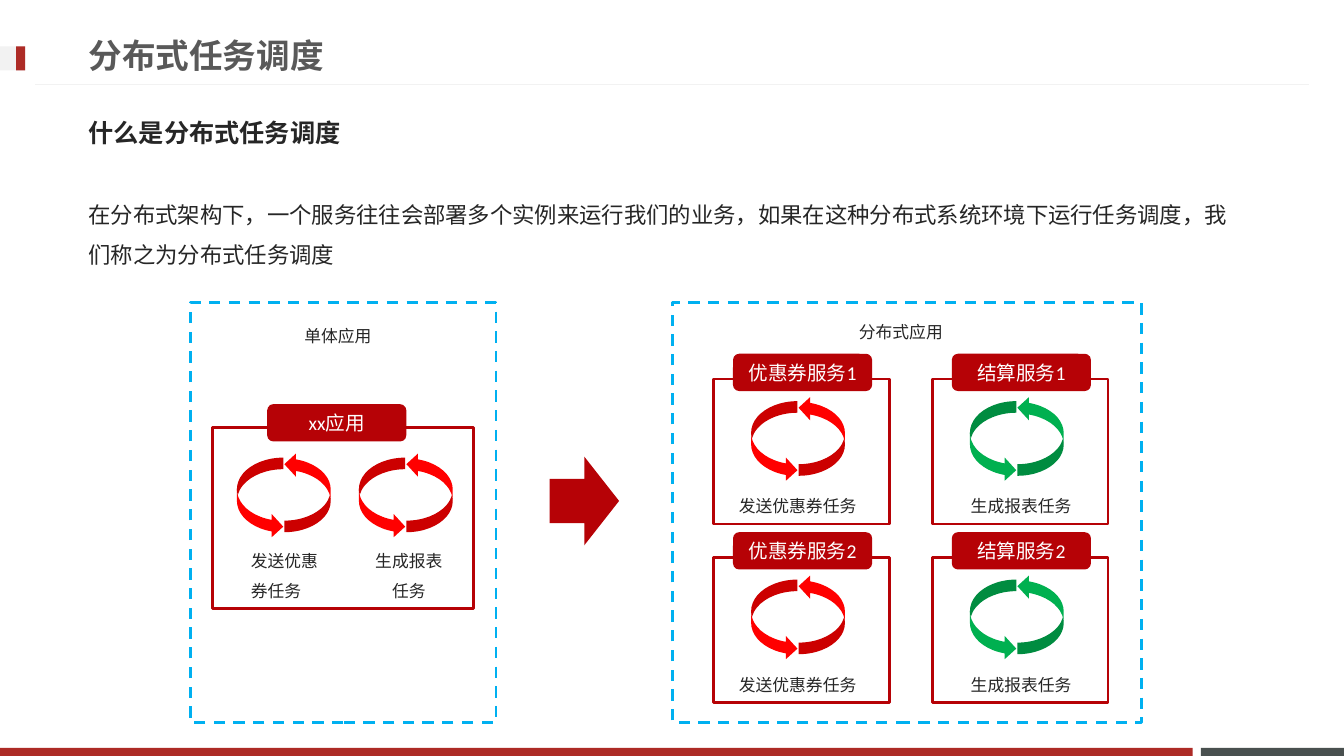
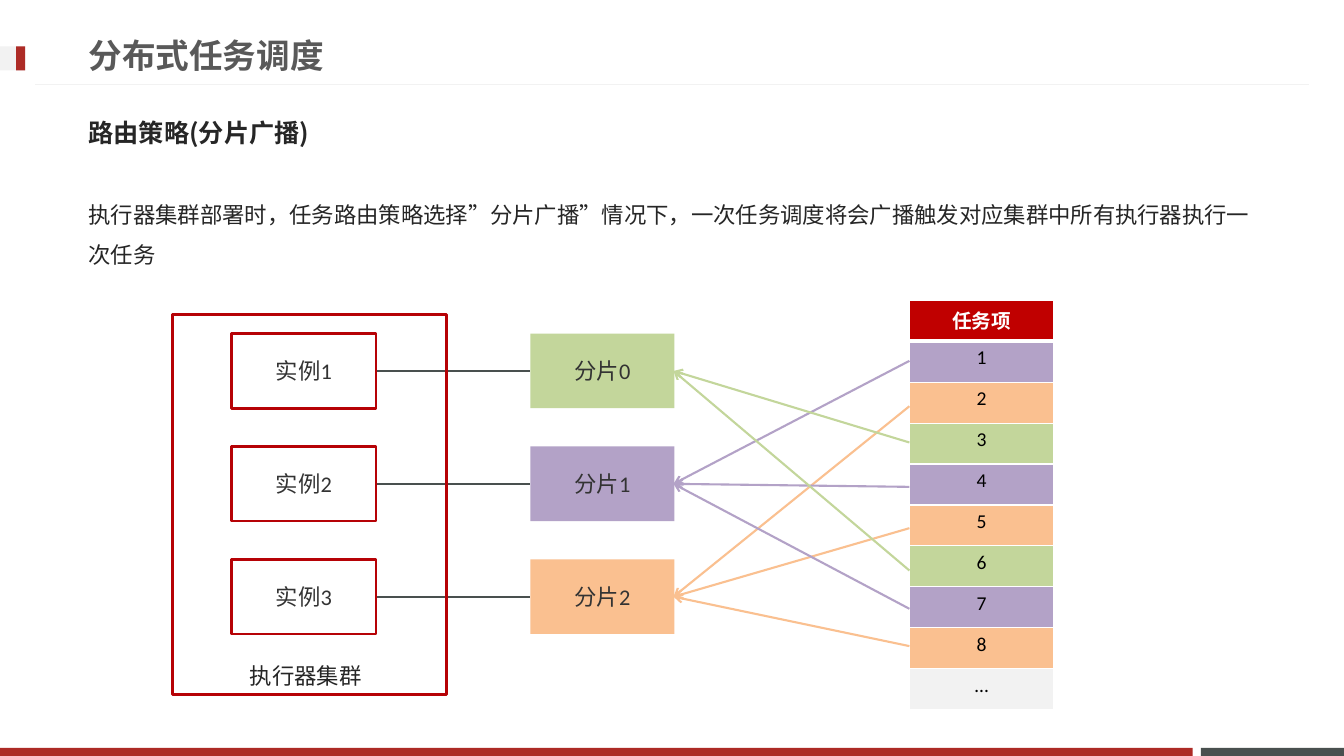
"""Build two slides on distributed task scheduling."""
from lxml.etree import SubElement
from pptx import Presentation
from pptx.dml.color import RGBColor
from pptx.enum.dml import MSO_LINE
from pptx.enum.lang import MSO_LANGUAGE_ID
from pptx.enum.shapes import MSO_CONNECTOR, MSO_SHAPE
from pptx.enum.text import MSO_ANCHOR, PP_ALIGN
from pptx.oxml.ns import qn
from pptx.util import Pt

PX = 9144
WHITE = RGBColor(0xFF, 0xFF, 0xFF)
BLACK = RGBColor(0x00, 0x00, 0x00)
PALE = RGBColor(0xF2, 0xF2, 0xF2)
SLATE = RGBColor(0x49, 0x50, 0x4F)
BRICK = RGBColor(0xAD, 0x2B, 0x26)
CRIMSON = RGBColor(0xB6, 0x02, 0x06)
HEADER_RED = RGBColor(0xC0, 0x00, 0x00)
RED = RGBColor(0xFF, 0x00, 0x00)
GREEN = RGBColor(0x00, 0xB0, 0x50)
SKY = RGBColor(0x00, 0xB0, 0xF0)
INK = RGBColor(0x26, 0x26, 0x26)
CHARCOAL = RGBColor(0x33, 0x33, 0x33)
GRAY = RGBColor(0x59, 0x59, 0x59)
LIME = RGBColor(0xC3, 0xD6, 0x9B)
LILAC = RGBColor(0xB3, 0xA2, 0xC7)
PEACH = RGBColor(0xFA, 0xC0, 0x90)
CJK = "Noto Sans CJK JP"


class Deck:
    """Hold the style and the current slide."""

    FONTS = {
        "title": ({"name": "Lato", "size": Pt(24), "bold": True}, GRAY),
        "heading": ({"name": CJK, "size": Pt(18), "bold": True}, INK),
        "body": ({"name": CJK, "size": Pt(16)}, INK),
        "label": ({"name": CJK, "size": Pt(12)}, INK),
        "badge": ({"name": "Calibri", "size": Pt(14)}, WHITE),
        "box": ({"name": "Calibri", "size": Pt(16)}, CHARCOAL),
        "th": ({"name": "Calibri", "size": Pt(14), "bold": True}, WHITE),
        "td": ({"name": "Calibri", "size": Pt(14), "bold": False}, BLACK),
    }
    SPACING = {
        "heading": {"space_before": Pt(3.6)},
        "body": {"line_spacing": 1.5, "space_before": Pt(3.2)},
        "label": {"line_spacing": 1.5, "space_before": Pt(2.4)},
    }

    def __init__(self):
        self.prs = Presentation()
        self.prs.slide_width, self.prs.slide_height = 1333 * PX, 750 * PX
        self.s = None

    def slide(self, heading, body, body_w=1170):
        self.s = self.prs.slides.add_slide(self.prs.slide_layouts[6])
        self.shape(MSO_SHAPE.RECTANGLE, 1191, 742, 142, 8, SLATE)
        self.shape(MSO_SHAPE.RECTANGLE, 0, 742, 1183, 8, BRICK)
        self.line(1298, 84, 35, 84, PALE, 0.75)
        self.shape(MSO_SHAPE.RECTANGLE, 0, 46, 25, 24, PALE)
        self.shape(MSO_SHAPE.RECTANGLE, 16, 46, 9, 24, BRICK)
        self.text(78, 26, 959, 57, "分布式任务调度", "title", MSO_ANCHOR.MIDDLE)
        self.text(78, 103, 1170, 57, heading, "heading", MSO_ANCHOR.MIDDLE)
        self.text(78, 181, body_w, 97, body, "body")

    def put_text(self, tf, text, style, align):
        font, color = self.FONTS[style]
        p = tf.paragraphs[0]
        r = p.add_run()
        r.text = text
        spacing = {"alignment": align, **self.SPACING.get(style, {})}
        lang = {"language_id": MSO_LANGUAGE_ID.SIMPLIFIED_CHINESE}
        for target, values in ((p, spacing), (r.font, {**font, **lang})):
            for key, value in values.items():
                setattr(target, key, value)
        r.font.color.rgb = color
        SubElement(r._r.get_or_add_rPr(), qn("a:ea"), typeface=CJK)

    def text(self, x, y, w, h, text, style, anchor=MSO_ANCHOR.TOP, align=PP_ALIGN.LEFT):
        tf = self.s.shapes.add_textbox(x * PX, y * PX, w * PX, h * PX).text_frame
        tf.word_wrap = True
        tf.vertical_anchor = anchor
        self.put_text(tf, text, style, align)

    def shape(self, kind, x, y, w, h, fill=None, line=None, text="", style="box"):
        sp = self.s.shapes.add_shape(kind, x * PX, y * PX, w * PX, h * PX)
        sp.shadow.inherit = False
        if fill is None:
            sp.fill.background()
        else:
            sp.fill.solid()
            sp.fill.fore_color.rgb = fill
        if line is None:
            sp.line.fill.background()
        else:
            sp.line.color.rgb = line
            sp.line.width = Pt(2)
        if text:
            tf = sp.text_frame
            tf.margin_left = tf.margin_right = 0
            tf.vertical_anchor = MSO_ANCHOR.MIDDLE
            self.put_text(tf, text, style, PP_ALIGN.CENTER)
        return sp

    def zone(self, x, y, w, h):
        sp = self.shape(MSO_SHAPE.RECTANGLE, x, y, w, h, line=SKY)
        sp.line.dash_style = MSO_LINE.DASH

    def frame(self, x, y, w, h, text=""):
        self.shape(MSO_SHAPE.RECTANGLE, x, y, w, h, line=CRIMSON, text=text)

    def badge(self, x, y, text):
        self.shape(MSO_SHAPE.ROUNDED_RECTANGLE, x, y, 138, 37, CRIMSON, text=text, style="badge")

    def cycle(self, x, y, color):
        self.shape(MSO_SHAPE.CURVED_RIGHT_ARROW, x, y, 46, 80, color)
        self.shape(MSO_SHAPE.CURVED_RIGHT_ARROW, x + 47, y - 5, 46, 79, color).rotation = 180

    def service(self, x, y, name, task, task_dx, color):
        self.cycle(x + 37, y + 22, color)
        self.frame(x, y, 174, 144)
        self.badge(x + 19, y - 25, name)
        self.text(x + task_dx, y + 101, 143, 37, task, "label")

    def line(self, x1, y1, x2, y2, color, width=1.5, arrow=False):
        c = self.s.shapes.add_connector(MSO_CONNECTOR.STRAIGHT, x1 * PX, y1 * PX, x2 * PX, y2 * PX)
        c.line.color.rgb = color
        c.line.width = Pt(width)
        pr = c.element.spPr
        if arrow:
            SubElement(pr.find(qn("a:ln")), qn("a:tailEnd"), type="arrow")
        SubElement(pr, qn("a:effectLst"))

    def borders(self, cell, widths):
        pr = cell._tc.get_or_add_tcPr()
        for side, width in widths.items():
            ln = SubElement(pr, qn(f"a:ln{side}"), w=str(Pt(width)))
            fill = SubElement(ln, qn("a:solidFill"))
            SubElement(fill, qn("a:srgbClr"), val=str(WHITE))

    def table(self, x, y, w, h, rows):
        t = self.s.shapes.add_table(len(rows), 1, x * PX, y * PX, w * PX, h * PX).table
        t.horz_banding = False
        for i, (text, fill) in enumerate(rows):
            cell = t.cell(i, 0)
            self.borders(cell, {"L": 1, "R": 1, "T": 3 if i == 1 else 1, "B": 1 if i else 3})
            cell.fill.solid()
            cell.fill.fore_color.rgb = fill
            self.put_text(cell.text_frame, text, "td" if i else "th", PP_ALIGN.CENTER)


def scheduling_slide(d):
    d.slide("什么是分布式任务调度",
            "在分布式架构下，一个服务往往会部署多个实例来运行我们的业务，"
            "如果在这种分布式系统环境下运行任务调度，我们称之为分布式任务调度")
    d.shape(MSO_SHAPE.RIGHT_ARROW, 545, 453, 69, 88, CRIMSON)
    d.zone(189, 300, 303, 417)
    d.frame(211, 424, 259, 180)
    d.badge(265, 401, "xx应用")
    for x in (235, 356):
        d.cycle(x, 454, RED)
    d.text(239, 531, 96, 71, "发送优惠券任务", "label")
    d.text(361, 531, 89, 71, "生成报表任务", "label", align=PP_ALIGN.CENTER)
    d.text(292, 308, 97, 47, "单体应用", "label")
    d.zone(667, 300, 465, 417)
    services = (
        (708, "优惠券服务", "发送优惠券任务", 15, RED),
        (925, "结算服务", "生成报表任务", 28, GREEN),
    )
    for x, name, task, task_dx, color in services:
        for i in range(2):
            d.service(x, 376 + 177 * i, f"{name}{i + 1}", task, task_dx, color)
    d.text(842, 304, 115, 47, "分布式应用", "label")


def sharding_slide(d):
    d.slide("路由策略(分片广播)",
            "执行器集群部署时，任务路由策略选择”分片广播”情况下，"
            "一次任务调度将会广播触发对应集群中所有执行器执行一次任务", 1192)
    shards = (LIME, LILAC, PEACH)
    tasks = [(str(n), shards[n % 3]) for n in range(1, 9)]
    d.table(902, 298, 143, 406, [("任务项", HEADER_RED), *tasks, ("…", PALE)])
    for i, color in enumerate(shards):
        y = 331 + 112 * i
        d.shape(MSO_SHAPE.RECTANGLE, 526, y, 143, 74, color, text=f"分片{i}")
        d.line(373, y + 37, 526, y + 37, SLATE)
        d.frame(230, y, 143, 74, f"实例{i + 1}")
    for n, y in enumerate((358, 403, 439, 483, 524, 566, 604, 641), 1):
        d.line(902, y, 668, 368 + 112 * (n % 3), shards[n % 3], arrow=True)
    d.frame(171, 312, 272, 377)
    d.text(238, 639, 153, 49, "执行器集群", "body")


def main():
    d = Deck()
    scheduling_slide(d)
    sharding_slide(d)
    d.prs.save("out.pptx")


if __name__ == "__main__":
    main()
